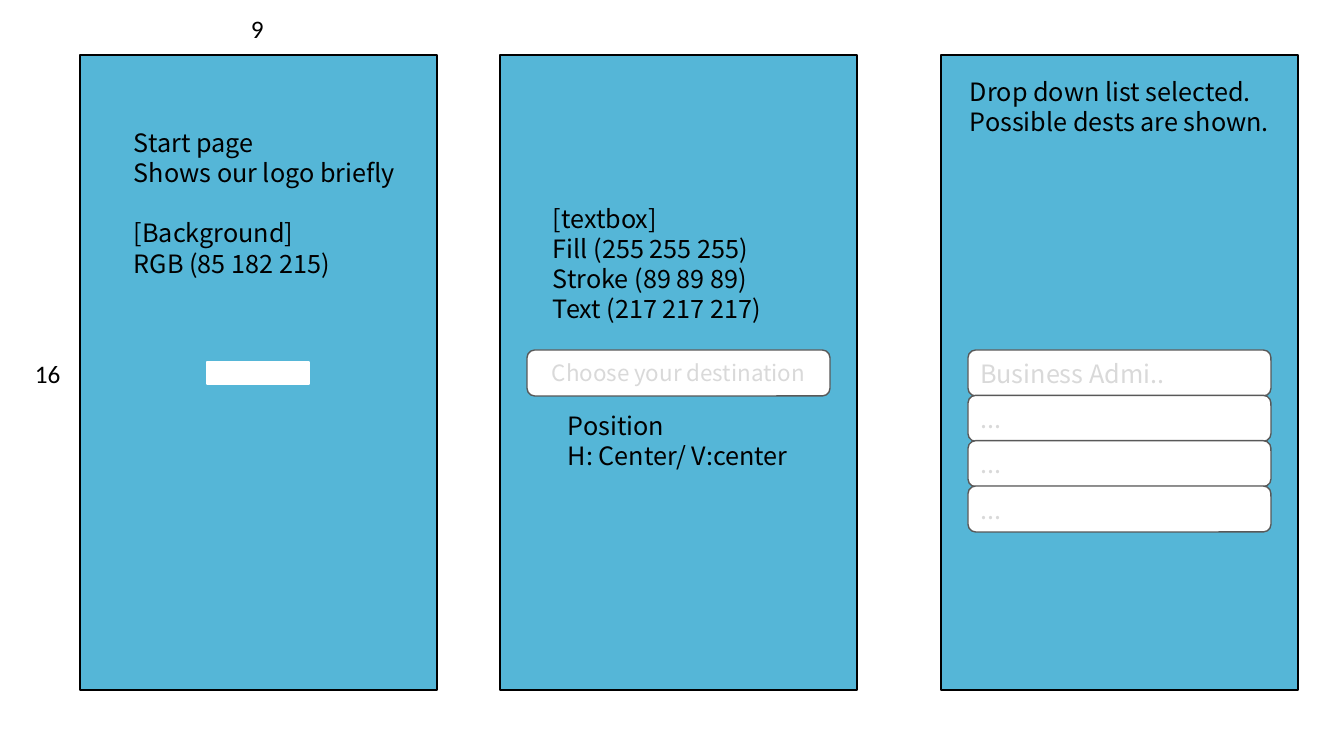
from pptx import Presentation
from pptx.dml.color import RGBColor
from pptx.enum.shapes import MSO_SHAPE as Shape
from pptx.enum.text import MSO_ANCHOR as Anchor, MSO_AUTO_SIZE as Auto, PP_ALIGN as Align
from pptx.util import Pt

SCALE = 914400 / 100.8
HEX = {"sky": "55B6D7", "white": "FFFFFF", "black": "000000", "stroke": "595959", "hint": "D9D9D9"}
SANS = "Noto Sans CJK KR"
NOTE = {"name": SANS, "size": Pt(18)}
LABEL = {"name": "Calibri", "size": Pt(18)}
PANELS = (80, 500, 941)
TOP, WIDE, HIGH = 55, 357, 635
INSET, ROW = 27, 350
PITCH = 136 / 3


def emu(*pixels):
    """Turn pixels into EMU."""
    return [round(p * SCALE) for p in pixels]


def tint(name):
    """Give a named colour."""
    return RGBColor.from_string(HEX[name])


def write(par, text, style, color):
    """Add one formatted run to a paragraph."""
    run = par.add_run()
    run.text = text
    for key, value in style.items():
        setattr(run.font, key, value)
    run.font.color.rgb = tint(color)


def box(slide, kind, place, fill, line):
    """Draw a filled, outlined shape."""
    shape = slide.shapes.add_shape(kind, *emu(*place))
    shape.shadow.inherit = False
    shape.fill.solid()
    shape.fill.fore_color.rgb = tint(fill)
    shape.line.color.rgb = tint(line)
    shape.line.width = Pt(1)
    return shape


def field(slide, left, top, text, size=18, align=Align.LEFT):
    """Draw a rounded input field with its hint."""
    frame = box(slide, Shape.ROUNDED_RECTANGLE, (left, top, 303, 46), "white", "stroke").text_frame
    frame.vertical_anchor = Anchor.MIDDLE
    frame.word_wrap = True
    par = frame.paragraphs[0]
    par.alignment = align
    write(par, text, {"name": SANS, "size": Pt(size)}, "hint")


def note(slide, place, lines, style=NOTE):
    """Write lines of black text and return their paragraphs."""
    body = slide.shapes.add_textbox(*emu(*place)).text_frame
    body.word_wrap = False
    body.auto_size = Auto.SHAPE_TO_FIT_TEXT
    for i, line in enumerate(lines):
        par = body.add_paragraph() if i else body.paragraphs[0]
        write(par, line, style, "black")
    return body.paragraphs


def start(slide):
    """Fill the start page."""
    note(slide, (241, 8, 34, 40), ["9"], LABEL)
    note(slide, (25, 353, 46, 40), ["16"], LABEL)
    box(slide, Shape.RECTANGLE, (207, 362, 102, 22), "white", "white")
    pars = note(slide, (124, 122, 282, 163), [
        "Start page", "Shows our logo briefly", "[Background]", "RGB (85 182 215)"])
    pars[2].space_before = Pt(21.6)


def search(slide):
    """Fill the search page."""
    field(slide, PANELS[1] + INSET, ROW, "Choose your destination", 16, Align.CENTER)
    note(slide, (543, 198, 241, 132), [
        "[textbox]", "Fill (255 255 255)", "Stroke (89 89 89)", "Text (217 217 217)"])
    note(slide, (558, 405, 241, 72), ["Position", "H: Center/ V:center"])


def menu(slide):
    """Fill the drop-down page."""
    note(slide, (960, 71, 320, 72), ["Drop down list selected.", "Possible dests are shown."])
    for i, text in enumerate(["Business Admi..", "...", "...", "..."]):
        field(slide, PANELS[2] + INSET, ROW + i * PITCH, text)


def main():
    """Build the slide of three app pages."""
    deck = Presentation()
    deck.slide_width, deck.slide_height = emu(1344, 756)
    slide = deck.slides.add_slide(deck.slide_layouts[6])
    for left, fill in zip(PANELS, (start, search, menu)):
        box(slide, Shape.RECTANGLE, (left, TOP, WIDE, HIGH), "sky", "black")
        fill(slide)
    deck.save("out.pptx")


main()
